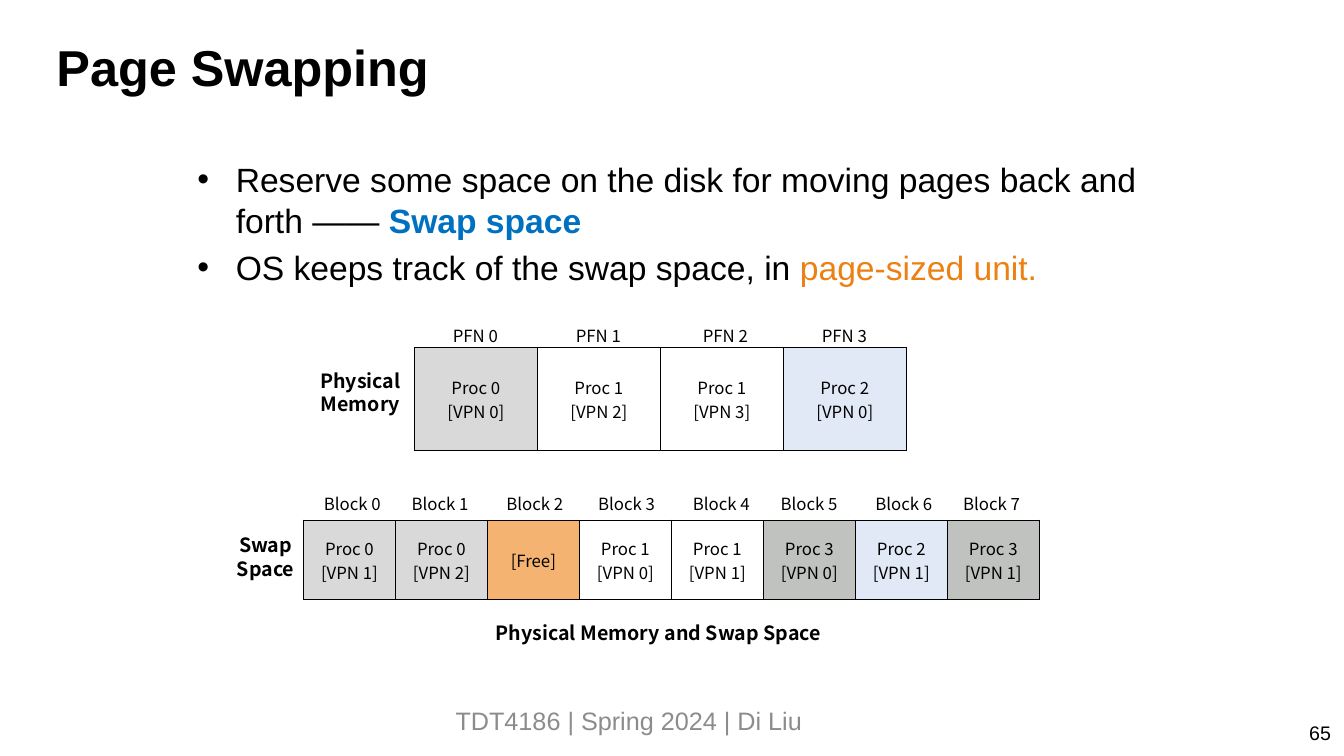
from lxml import etree
from pptx import Presentation
from pptx.dml.color import RGBColor
from pptx.enum.text import MSO_ANCHOR, PP_ALIGN
from pptx.oxml.ns import qn
from pptx.util import Inches, Pt

LEFT, CENTER, RIGHT = PP_ALIGN.LEFT, PP_ALIGN.CENTER, PP_ALIGN.RIGHT
TOP, MIDDLE = MSO_ANCHOR.TOP, MSO_ANCHOR.MIDDLE
SANS, NOTO = "Arial", "Noto Sans CJK KR"
BLACK, WHITE = "000000", "FFFFFF"
LABEL_WIDTH = 1.77
TITLE_ONLY = 5

# Fill of a frame or block, by the process that owns it
OWNER_FILLS = {"Proc 0": "D9D9D9", "Proc 1": WHITE, "Proc 2": "E2E9F6",
               "Proc 3": "C0C2C0", "[Free]": "F4B371"}

MEMORY_FRAMES = ["Proc 0\n[VPN 0]", "Proc 1\n[VPN 2]", "Proc 1\n[VPN 3]",
                 "Proc 2\n[VPN 0]"]
SWAP_BLOCKS = ["Proc 0\n[VPN 1]", "Proc 0\n[VPN 2]", "[Free]",
               "Proc 1\n[VPN 0]", "Proc 1\n[VPN 1]", "Proc 3\n[VPN 0]",
               "Proc 2\n[VPN 1]", "Proc 3\n[VPN 1]"]
BULLETS = [
    [("Reserve some space on the disk for moving pages back and forth —— ", {}),
     ("Swap space", {"color": "0070C0", "bold": True})],
    [("OS keeps track of the swap space, in ", {}),
     ("page-sized unit.", {"color": "ED8013"})],
]


def rgb(value):
    return RGBColor.from_string(value)


def add_span(para, text, size=12, font=NOTO, color=BLACK, bold=False):
    span = para.add_run()
    span.text = text
    span.font.size = Pt(size)
    span.font.name = font
    span.font.bold = bold
    span.font.color.rgb = rgb(color)


def write_text(frame, text, align=CENTER, anchor=TOP, **style):
    """Write one paragraph for each line of the text."""
    frame.word_wrap = True
    frame.vertical_anchor = anchor
    for index, line in enumerate(text.split("\n")):
        para = frame.add_paragraph() if index else frame.paragraphs[0]
        para.alignment = align
        add_span(para, line, **style)


def add_text(page, text, left, top, width, height, **style):
    box = page.shapes.add_textbox(Inches(left), Inches(top),
                                  Inches(width), Inches(height))
    write_text(box.text_frame, text, **style)


def add_bullets(page, left, top, width, height):
    box = page.shapes.add_textbox(Inches(left), Inches(top),
                                  Inches(width), Inches(height))
    frame = box.text_frame
    frame.word_wrap = True
    for index, spans in enumerate(BULLETS):
        para = frame.add_paragraph() if index else frame.paragraphs[0]
        if index:
            para.space_before = Pt(5)
        properties = para._p.get_or_add_pPr()
        properties.set("marL", str(Inches(0.38)))
        properties.set("indent", str(-Inches(0.38)))
        etree.SubElement(properties, qn("a:buFont"), typeface=SANS)
        etree.SubElement(properties, qn("a:buChar"), char="•")
        for text, style in spans:
            add_span(para, text, size=24, font=SANS, **style)


def outline_cell(cell):
    properties = cell._tc.get_or_add_tcPr()
    for index, side in enumerate(("a:lnL", "a:lnR", "a:lnT", "a:lnB")):
        line = etree.Element(qn(side), w=str(Pt(1)))
        fill = etree.SubElement(line, qn("a:solidFill"))
        etree.SubElement(fill, qn("a:srgbClr"), val=BLACK)
        properties.insert(index, line)


def add_storage(page, contents, left, top, cell_width, height):
    """Draw a row of page-sized cells, coloured by owner."""
    count = len(contents)
    table = page.shapes.add_table(
        1, count, Inches(left), Inches(top),
        Inches(cell_width * count), Inches(height)).table
    table.first_row = False
    table.horz_banding = False
    for cell, content in zip(table.rows[0].cells, contents):
        cell.fill.solid()
        cell.fill.fore_color.rgb = rgb(OWNER_FILLS[content.split("\n")[0]])
        cell.vertical_anchor = MIDDLE
        write_text(cell.text_frame, content, anchor=MIDDLE)
        outline_cell(cell)


def add_labels(page, prefix, lefts, top):
    for index, left in enumerate(lefts):
        add_text(page, f"{prefix} {index}", left, top, LABEL_WIDTH, 0.3)


def add_title(page, text):
    title = page.shapes.title
    title.left, title.top = Inches(0.46), Inches(0.3)
    title.width, title.height = Inches(12.4), Inches(0.71)
    write_text(title.text_frame, text, align=LEFT, anchor=MIDDLE,
               size=36, font=SANS, bold=True)


def main():
    deck = Presentation()
    deck.slide_width, deck.slide_height = Inches(13.33), Inches(7.5)
    page = deck.slides.add_slide(deck.slide_layouts[TITLE_ONLY])

    # Title and main points
    add_title(page, "Page Swapping")
    add_bullets(page, 1.86, 1.53, 9.61, 6.02)

    # Physical memory
    add_storage(page, MEMORY_FRAMES, 4.11, 3.45, 1.22, 1.02)
    add_text(page, "Physical\nMemory", 2.69, 3.61, LABEL_WIDTH, 0.57,
             size=14, bold=True)
    add_labels(page, "PFN", [3.83, 5.05, 6.31, 7.49], 3.18)

    # Swap space
    add_storage(page, SWAP_BLOCKS, 3.01, 5.16, 7.3 / len(SWAP_BLOCKS), 0.79)
    add_text(page, "Swap\nSpace", 1.75, 5.24, LABEL_WIDTH, 0.57,
             size=14, bold=True)
    add_labels(page, "Block",
               [2.61, 3.48, 4.42, 5.33, 6.27, 7.14, 8.08, 8.95], 4.85)
    add_text(page, "Physical Memory and Swap Space", 4.58, 6.11, 3.9, 0.34,
             size=14, bold=True)

    # Footer and page number
    add_text(page, "TDT4186 | Spring 2024 | Di Liu", 4.42, 6.95, 4.5, 0.4,
             align=LEFT, anchor=MIDDLE, size=18, font=SANS, color="8C8C8C")
    add_text(page, "65", 12.68, 7.1, 0.62, 0.4,
             align=RIGHT, size=14, font=SANS)

    deck.save("out.pptx")


if __name__ == "__main__":
    main()
